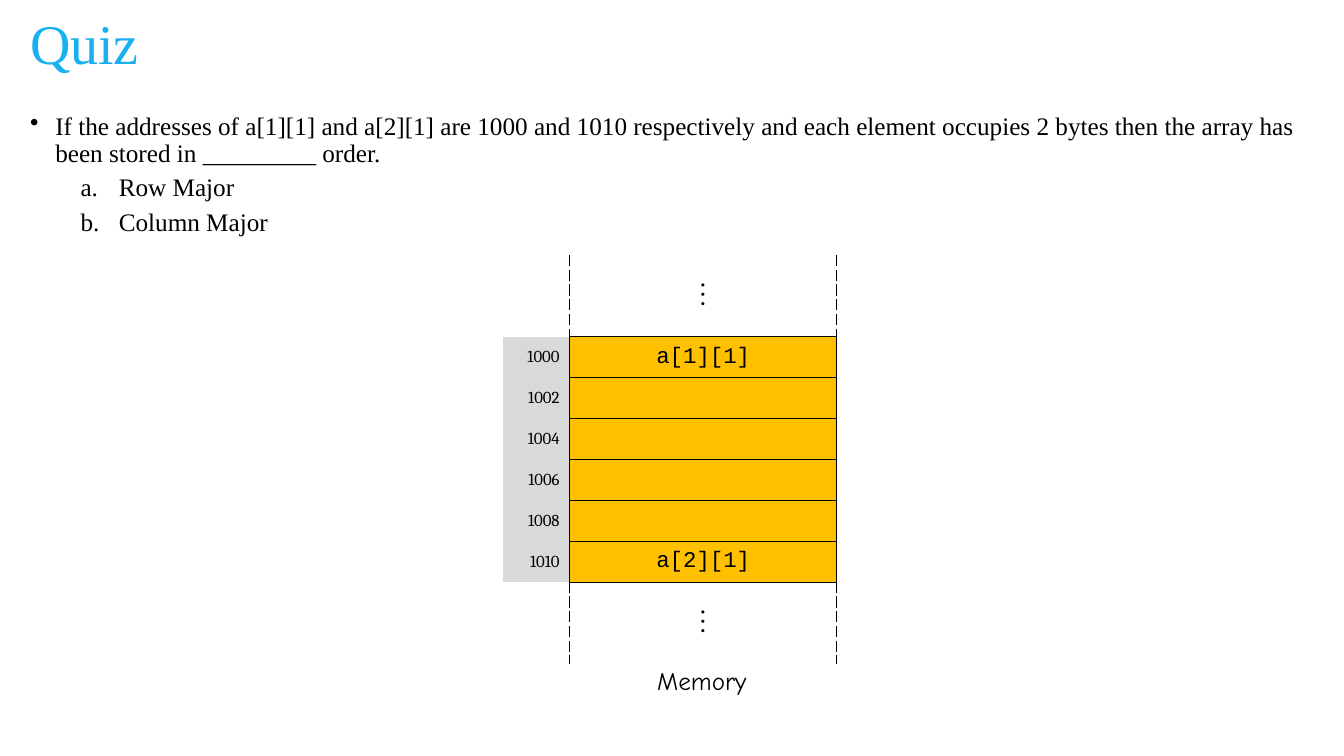
from dataclasses import dataclass
from typing import Optional

from lxml.etree import SubElement
from pptx import Presentation
from pptx.dml.color import RGBColor
from pptx.enum.text import MSO_ANCHOR as Anchor, MSO_AUTO_SIZE as AutoSize, PP_ALIGN as Align
from pptx.oxml import parse_xml
from pptx.oxml.ns import nsdecls, qn
from pptx.slide import Slide
from pptx.table import _Cell as Cell
from pptx.text.text import TextFrame, _Paragraph as Paragraph
from pptx.util import Inches, Pt


@dataclass(frozen=True)
class TextStyle:
    font: str
    size: int
    color: str = "000000"


@dataclass(frozen=True)
class Theme:
    title: TextStyle = TextStyle("Times New Roman", 40, "18B0F0")
    body: TextStyle = TextStyle("Times New Roman", 18)
    caption: TextStyle = TextStyle("Comic Neue", 18)
    address: TextStyle = TextStyle("Cambria", 12)
    element: TextStyle = TextStyle("Courier New", 16)
    ellipsis: TextStyle = TextStyle("Cambria", 20)
    address_fill: str = "D9D9D9"
    element_fill: str = "FFC000"
    border: str = "000000"


@dataclass(frozen=True)
class BodyLine:
    text: str
    level: int
    left: float
    hanging: float
    space_before: int
    marker: str
    attribute: str
    value: str


@dataclass(frozen=True)
class MemoryRow:
    address: str
    content: str


THEME = Theme()
ROW_UNIT = 0.406
COLUMN_WIDTHS = (0.66, 2.65)

BULLET = (0, 0.25, 0.25, 10, "a:buChar", "char", "•")
OPTION = (1, 0.88, 0.38, 5, "a:buAutoNum", "type", "alphaLcPeriod")
BODY_LINES = [
    BodyLine("If the addresses of a[1][1] and a[2][1] are 1000 and 1010 respectively and each element "
             "occupies 2 bytes then the array has been stored in _________ order.", *BULLET),
    BodyLine("Row Major", *OPTION),
    BodyLine("Column Major", *OPTION),
]

ELEMENTS = {1000: "a[1][1]", 1010: "a[2][1]"}
GAP = MemoryRow("", "⋮")
MEMORY = [GAP, *(MemoryRow(str(n), ELEMENTS.get(n, "")) for n in range(1000, 1011, 2)), GAP]


def style_paragraph(para: Paragraph, style: TextStyle) -> None:
    for span in para.runs:
        span.font.name = style.font
        span.font.size = Pt(style.size)
        span.font.color.rgb = RGBColor.from_string(style.color)


def add_text(page: Slide, left: float, top: float, width: float, height: float,
             text: str, style: TextStyle) -> TextFrame:
    box = page.shapes.add_textbox(Inches(left), Inches(top), Inches(width), Inches(height))
    frame = box.text_frame
    frame.word_wrap = True
    frame.text = text
    for para in frame.paragraphs:
        style_paragraph(para, style)
    return frame


def format_body_line(para: Paragraph, line: BodyLine) -> None:
    para.level = line.level
    para.line_spacing = 0.9
    para.space_before = Pt(line.space_before)
    properties = para._p.get_or_add_pPr()
    properties.set("marL", str(Inches(line.left)))
    properties.set("indent", str(-Inches(line.hanging)))
    SubElement(properties, qn(line.marker)).set(line.attribute, line.value)


def set_borders(cell: Cell, dashes: dict[str, str]) -> None:
    properties = cell._tc.get_or_add_tcPr()
    for position, side in enumerate("LRTB"):
        dash: Optional[str] = dashes.get(side)
        paint = "<a:noFill/>"
        if dash:
            paint = (f'<a:solidFill><a:srgbClr val="{THEME.border}"/></a:solidFill>'
                     f'<a:prstDash val="{dash}"/>')
        properties.insert(position, parse_xml(
            f'<a:ln{side} {nsdecls("a")} w="{Pt(1)}">{paint}</a:ln{side}>'))


def fill_cell(cell: Cell, text: str, style: TextStyle, align: Align,
              color: Optional[str], dashes: dict[str, str]) -> None:
    cell.text = text
    cell.vertical_anchor = Anchor.MIDDLE
    para = cell.text_frame.paragraphs[0]
    para.alignment = align
    style_paragraph(para, style)
    if color:
        cell.fill.solid()
        cell.fill.fore_color.rgb = RGBColor.from_string(color)
    else:
        cell.fill.background()
    set_borders(cell, dashes)


def add_memory(page: Slide, left: float, top: float) -> None:
    table = page.shapes.add_table(
        len(MEMORY), len(COLUMN_WIDTHS), Inches(left), Inches(top),
        Inches(sum(COLUMN_WIDTHS)), Inches(10 * ROW_UNIT)).table
    table.first_row = table.horz_banding = False
    for column, width in zip(table.columns, COLUMN_WIDTHS):
        column.width = Inches(width)
    for index, row in enumerate(MEMORY):
        is_gap = row is GAP
        table.rows[index].height = Inches(ROW_UNIT * (2 if is_gap else 1))
        side_dash = "dash" if is_gap else "solid"
        dashes = {"L": side_dash, "R": side_dash}
        if index > 0:
            dashes["T"] = "solid"
        if index < len(MEMORY) - 1:
            dashes["B"] = "solid"
        fill_cell(table.cell(index, 0), row.address, THEME.address, Align.RIGHT,
                  None if is_gap else THEME.address_fill, {"R": side_dash})
        fill_cell(table.cell(index, 1), row.content,
                  THEME.ellipsis if is_gap else THEME.element, Align.CENTER,
                  None if is_gap else THEME.element_fill, dashes)


def main() -> None:
    deck = Presentation()
    deck.slide_width, deck.slide_height = Inches(13.33), Inches(7.5)
    page = deck.slides.add_slide(deck.slide_layouts[6])

    title = add_text(page, 0.2, 0.13, 10.96, 0.65, "Quiz", THEME.title)
    title.vertical_anchor = Anchor.MIDDLE
    title.paragraphs[0].line_spacing = 0.9

    body = add_text(page, 0.2, 1.08, 12.89, 5.67,
                    "\n".join(line.text for line in BODY_LINES), THEME.body)
    for para, line in zip(body.paragraphs, BODY_LINES):
        format_body_line(para, line)

    add_memory(page, 4.99, 2.53)
    caption = add_text(page, 6.42, 6.55, 1.09, 0.4, "Memory", THEME.caption)
    caption.word_wrap = False
    caption.auto_size = AutoSize.SHAPE_TO_FIT_TEXT

    deck.save("out.pptx")


if __name__ == "__main__":
    main()
